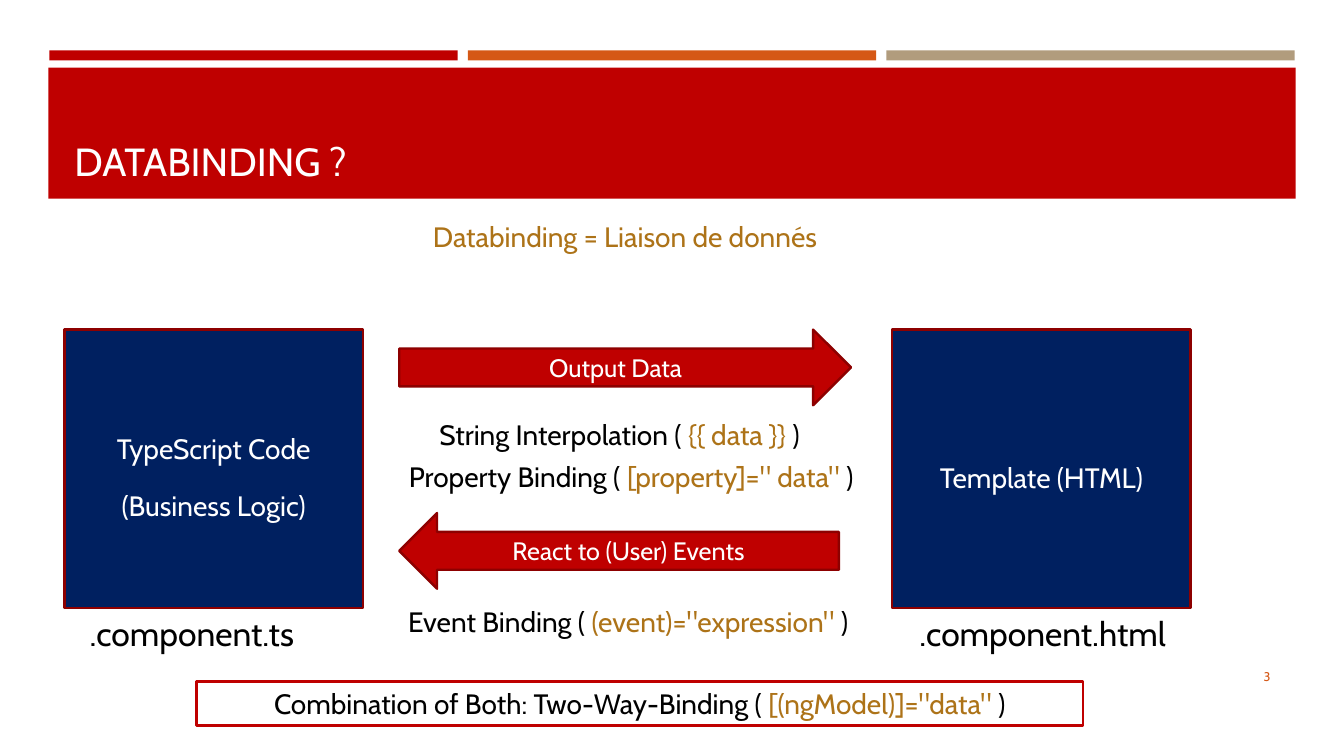
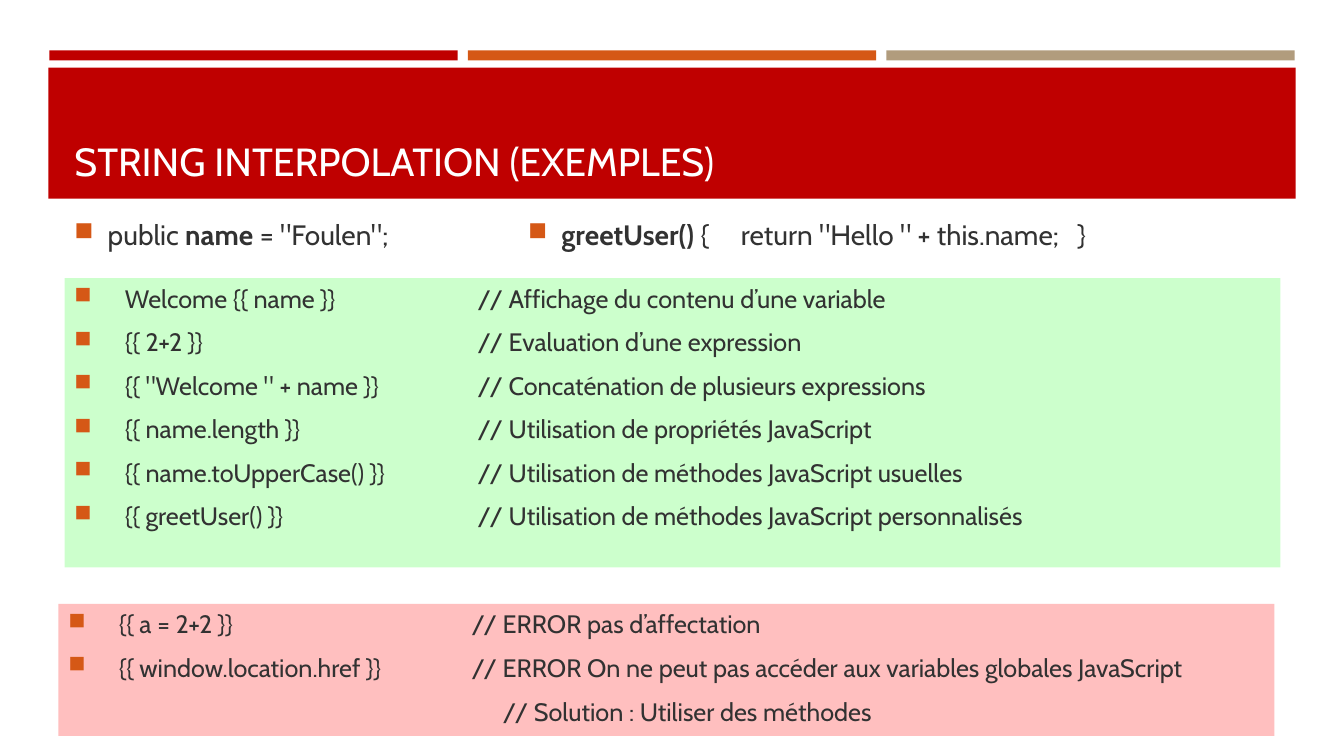
from dataclasses import dataclass
from typing import Optional

from lxml.etree import SubElement
from pptx import Presentation
from pptx.dml.color import RGBColor
from pptx.enum.shapes import MSO_SHAPE
from pptx.enum.text import MSO_ANCHOR, PP_ALIGN
from pptx.oxml.ns import qn
from pptx.util import Inches, Pt


@dataclass(frozen=True)
class Theme:
    font: str = "Cabin"
    red: str = "BF0000"
    dark_red: str = "8D0000"
    orange: str = "D55816"
    sand: str = "B19C7D"
    navy: str = "002060"
    gold: str = "AD7318"
    white: str = "FFFFFF"
    black: str = "000000"
    grey: str = "323232"
    green: str = "CCFFCC"
    pink: str = "FFBFBF"
    title_size: float = 28
    caption_size: float = 24
    text_size: float = 20
    code_size: float = 18
    number_size: float = 9
    outline: float = 1.75


THEME = Theme()


@dataclass(frozen=True)
class Box:
    left: float
    top: float
    width: float
    height: float


@dataclass(frozen=True)
class Span:
    text: str
    color: str = THEME.black
    size: float = THEME.text_size
    bold: bool = False


@dataclass(frozen=True)
class Para:
    spans: tuple[Span, ...]
    align: PP_ALIGN = PP_ALIGN.LEFT
    line_spacing: float = 1.0
    before: float = 0
    after: float = 0
    margin: float = 0
    bullet: bool = False
    tabs: tuple[float, ...] = ()


@dataclass(frozen=True)
class Arrow:
    kind: MSO_SHAPE
    box: Box
    text: str


@dataclass(frozen=True)
class Binding:
    box: Box
    name: str
    syntax: str
    outline: Optional[str] = None


# Text
def format_indent(paragraph, para: Para) -> None:
    """Set the margin, the square bullet and the tab stops."""
    properties = paragraph._p.get_or_add_pPr()
    properties.set("marL", str(Inches(para.margin)))
    properties.set("indent", str(Inches(-para.margin if para.bullet else 0)))
    if para.bullet:
        color = SubElement(properties, qn("a:buClr"))
        SubElement(color, qn("a:srgbClr"), val=THEME.orange)
        SubElement(properties, qn("a:buSzPct"), val="92000")
        SubElement(properties, qn("a:buChar"), char="■")
    if para.tabs:
        stops = SubElement(properties, qn("a:tabLst"))
        for position in para.tabs:
            SubElement(stops, qn("a:tab"), pos=str(Inches(position)), algn="l")


def write(shape, paras: list[Para], anchor: MSO_ANCHOR) -> None:
    frame = shape.text_frame
    frame.word_wrap = True
    frame.vertical_anchor = anchor
    for index, para in enumerate(paras):
        paragraph = frame.add_paragraph() if index else frame.paragraphs[0]
        paragraph.alignment = para.align
        paragraph.line_spacing = para.line_spacing
        paragraph.space_before = Pt(para.before)
        paragraph.space_after = Pt(para.after)
        format_indent(paragraph, para)
        for span in para.spans:
            run = paragraph.add_run()
            run.text = span.text
            run.font.name = THEME.font
            run.font.size = Pt(span.size)
            run.font.bold = span.bold
            run.font.color.rgb = RGBColor.from_string(span.color)


def add_text(page, box: Box, paras: list[Para],
             anchor: MSO_ANCHOR = MSO_ANCHOR.TOP) -> None:
    shape = page.shapes.add_textbox(Inches(box.left), Inches(box.top),
                                    Inches(box.width), Inches(box.height))
    write(shape, paras, anchor)


def add_block(page, box: Box, fill: str, paras: Optional[list[Para]] = None,
              outline: Optional[str] = None,
              anchor: MSO_ANCHOR = MSO_ANCHOR.TOP,
              kind: MSO_SHAPE = MSO_SHAPE.RECTANGLE) -> None:
    shape = page.shapes.add_shape(kind, Inches(box.left), Inches(box.top),
                                  Inches(box.width), Inches(box.height))
    shape.shadow.inherit = False
    shape.fill.solid()
    shape.fill.fore_color.rgb = RGBColor.from_string(fill)
    if outline:
        shape.line.color.rgb = RGBColor.from_string(outline)
        shape.line.width = Pt(THEME.outline)
    else:
        shape.line.fill.background()
    if paras:
        write(shape, paras, anchor)


def centered(*spans: Span) -> Para:
    return Para(spans, PP_ALIGN.CENTER)


def bulleted(*spans: Span, margin: float = 0.33,
             tabs: tuple[float, ...] = ()) -> Para:
    return Para(spans, before=3.5, after=6, margin=margin, bullet=True, tabs=tabs)


def code_line(code: str, comment: str) -> Para:
    span = Span(f"{code}\t// {comment}", THEME.grey, THEME.code_size)
    return bulleted(span, margin=0.5, tabs=(4.0,))


# Shared frame
def add_page(deck, title: str):
    page = deck.slides.add_slide(deck.slide_layouts[6])
    for index, color in enumerate((THEME.red, THEME.orange, THEME.sand)):
        add_block(page, Box(0.49 + 4.15 * index, 0.5, 4.05, 0.1), color)
    add_block(page, Box(0.48, 0.67, 12.37, 1.3), THEME.red)
    heading = Para((Span(title, THEME.white, THEME.title_size),))
    add_text(page, Box(0.64, 0.77, 12.06, 1.11), [heading], MSO_ANCHOR.BOTTOM)
    return page


# Slide: the two sides and what passes between them
def build_databinding(deck) -> None:
    page = add_page(deck, "DATABINDING ?")
    number = Para((Span("3", THEME.orange, THEME.number_size),), PP_ALIGN.RIGHT)
    add_text(page, Box(11.55, 6.51, 1.15, 0.4), [number], MSO_ANCHOR.MIDDLE)
    add_block(page, Box(3.51, 2.13, 5.38, 0.44), THEME.white,
              [centered(Span("Databinding = Liaison de donnés", THEME.gold))])

    # Sides with their file names
    sides = (
        (0.64, ("TypeScript Code", "(Business Logic)"), 0.79, ".component.ts"),
        (8.85, ("Template (HTML)",), 9.02, ".component.html"),
    )
    for left, lines, caption_left, caption in sides:
        paras = [Para((Span(line, THEME.white),), PP_ALIGN.CENTER,
                      line_spacing=1.5, after=5) for line in lines]
        add_block(page, Box(left, 3.27, 2.96, 2.76), THEME.navy, paras,
                  THEME.dark_red, MSO_ANCHOR.MIDDLE)
        add_text(page, Box(caption_left, 6.03, 3.01, 0.5),
                 [Para((Span(caption, size=THEME.caption_size),))])

    # Directions
    arrows = (
        Arrow(MSO_SHAPE.RIGHT_ARROW, Box(3.96, 3.27, 4.48, 0.75), "Output Data"),
        Arrow(MSO_SHAPE.LEFT_ARROW, Box(3.96, 5.09, 4.36, 0.75),
              "React to (User) Events"),
    )
    for arrow in arrows:
        label = centered(Span(arrow.text, THEME.white, THEME.code_size))
        add_block(page, arrow.box, THEME.red, [label], THEME.dark_red,
                  MSO_ANCHOR.MIDDLE, arrow.kind)

    # Kinds of binding
    bindings = (
        Binding(Box(4.01, 4.09, 4.27, 0.44), "String Interpolation", "{{ data }}"),
        Binding(Box(3.87, 4.51, 4.78, 0.44), "Property Binding",
                '[property]=" data"'),
        Binding(Box(3.84, 5.95, 4.78, 0.44), "Event Binding",
                '(event)="expression"'),
        Binding(Box(1.95, 6.76, 8.79, 0.44),
                "Combination of Both: Two-Way-Binding",
                '[(ngModel)]="data"', THEME.red),
    )
    for binding in bindings:
        para = centered(Span(f"{binding.name} ( "),
                        Span(f"{binding.syntax} ", THEME.gold), Span(")"))
        if binding.outline:
            add_block(page, binding.box, THEME.white, [para], binding.outline)
        else:
            add_text(page, binding.box, [para])


# Slide: valid and invalid expressions
def build_interpolation(deck) -> None:
    page = add_page(deck, "STRING INTERPOLATION (EXEMPLES)")

    # Class members
    add_text(page, Box(0.64, 2.11, 3.74, 0.5), [bulleted(
        Span("public ", THEME.grey), Span("name", THEME.grey, bold=True),
        Span(' = "Foulen";', THEME.grey))])
    add_text(page, Box(5.14, 2.11, 6.48, 0.53), [bulleted(
        Span("greetUser()", THEME.grey, bold=True),
        Span(' {\treturn "Hello " + this.name;\t}', THEME.grey),
        tabs=(2.11, 5.45))])

    # Valid expressions
    valid = (
        ("Welcome {{ name }}", "Affichage du contenu d’une variable"),
        ("{{ 2+2 }}", "Evaluation d’une expression"),
        ('{{ "Welcome " + name }}', "Concaténation de plusieurs expressions"),
        ("{{ name.length }}", "Utilisation de propriétés JavaScript"),
        ("{{ name.toUpperCase() }}", "Utilisation de méthodes JavaScript usuelles"),
        ("{{ greetUser() }}", "Utilisation de méthodes JavaScript personnalisés"),
    )
    add_block(page, Box(0.64, 2.76, 12.06, 2.87), THEME.green,
              [code_line(code, comment) for code, comment in valid])

    # Errors and their solution
    errors = (
        ("{{ a = 2+2 }}", "ERROR pas d’affectation"),
        ("{{ window.location.href }}",
         "ERROR On ne peut pas accéder aux variables globales JavaScript"),
    )
    solution = Para((Span("// Solution : Utiliser des méthodes", THEME.grey,
                          THEME.code_size),), before=3.5, after=6, margin=4.31)
    add_block(page, Box(0.58, 5.99, 12.06, 1.31), THEME.pink,
              [code_line(code, comment) for code, comment in errors] + [solution])


def main() -> None:
    deck = Presentation()
    deck.slide_width = Inches(13.33)
    deck.slide_height = Inches(7.5)
    build_databinding(deck)
    build_interpolation(deck)
    deck.save("out.pptx")


if __name__ == "__main__":
    main()
